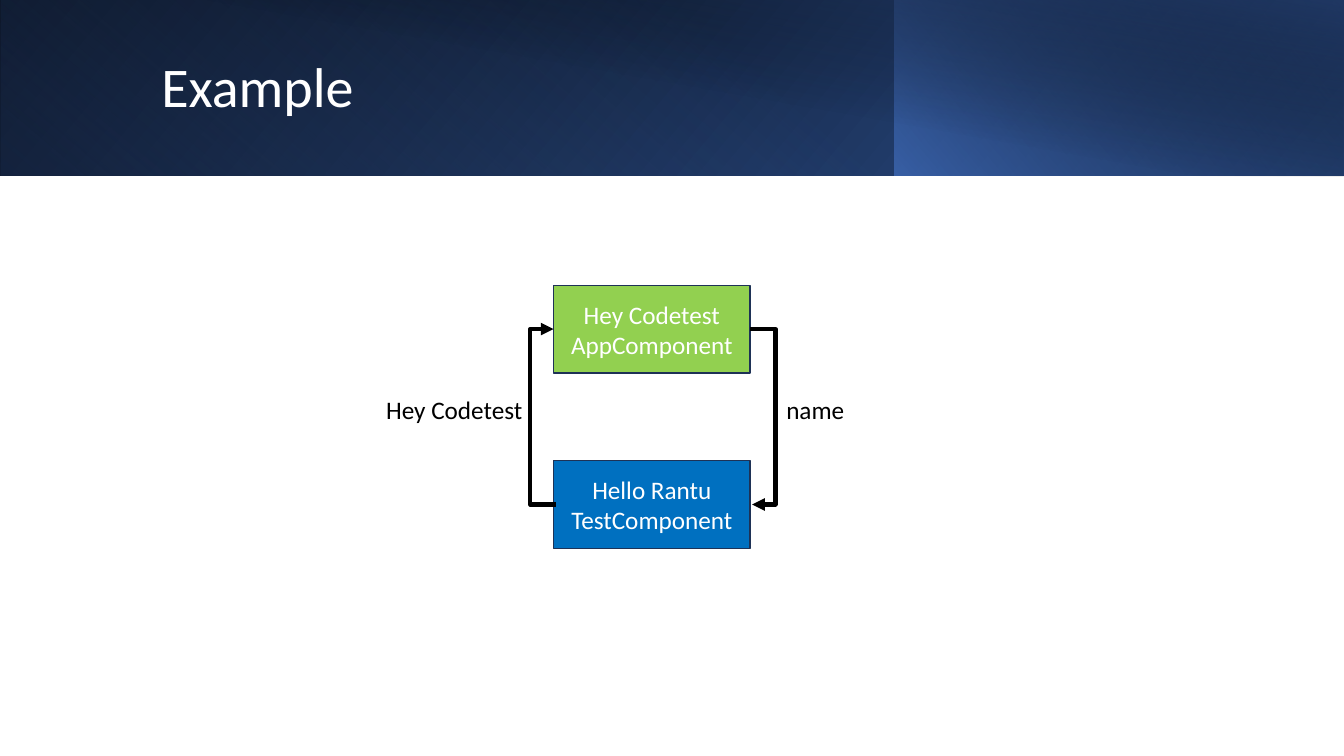
from dataclasses import dataclass

from lxml.etree import SubElement
from pptx import Presentation
from pptx.dml.color import RGBColor
from pptx.enum.shapes import MSO_CONNECTOR, MSO_SHAPE
from pptx.enum.text import MSO_ANCHOR, MSO_AUTO_SIZE, PP_ALIGN
from pptx.oxml.ns import qn
from pptx.slide import Slide
from pptx.text.text import TextFrame
from pptx.util import Inches, Pt

FONT = "Calibri"
WHITE, BLACK = "FFFFFF", "000000"
BOX_LEFT, BOX_WIDTH, BOX_HEIGHT = 5.49, 1.95, 0.87
ARROW_SHIFT, ARROW_REACH = 0.02, 0.25


@dataclass
class Stop:
    position: float
    color: str
    opacity: int = 100


@dataclass
class Band:
    left: float
    width: float
    height: float
    angle: int
    stops: tuple[Stop, Stop]
    flipped: bool = True
    rotation: int = 0


@dataclass
class Component:
    text: str
    top: float
    color: str

    @property
    def middle(self) -> float:
        return self.top + BOX_HEIGHT / 2


@dataclass
class Label:
    text: str
    left: float
    width: float
    align: PP_ALIGN


BANDS = [
    Band(0, 13.33, 1.74, 140, (Stop(0, BLACK), Stop(1, "2F5597"))),
    Band(0, 8.88, 1.74, 230, (Stop(0.2, "4472C4", 0), Stop(1, "203864", 55)), rotation=180),
    Band(8.87, 4.46, 1.74, 220, (Stop(0, "4472C4", 66), Stop(1, BLACK, 30))),
    Band(0.5, 12.83, 1.75, 280, (Stop(0.5, BLACK, 0), Stop(0.99, "203864", 52)), flipped=False),
]
APP = Component("Hey Codetest AppComponent", 2.83, "92D050")
TEST = Component("Hello Rantu TestComponent", 4.57, "0070C0")
LABELS = [
    Label("Hey Codetest", 3.43, 1.85, PP_ALIGN.RIGHT),
    Label("name", 7.7, 1.35, PP_ALIGN.LEFT),
]


def rgb(color: str) -> RGBColor:
    return RGBColor.from_string(color)


def write(frame: TextFrame, text: str, size: int, color: str, align: PP_ALIGN) -> None:
    frame.word_wrap = True
    frame.text = text
    paragraph = frame.paragraphs[0]
    paragraph.alignment = align
    paragraph.font.name = FONT
    paragraph.font.size = Pt(size)
    paragraph.font.color.rgb = rgb(color)


def draw_band(slide: Slide, band: Band) -> None:
    shape = slide.shapes.add_shape(
        MSO_SHAPE.RECTANGLE, Inches(band.left), 0, Inches(band.width), Inches(band.height)
    )
    shape.shadow.inherit = False
    shape.line.fill.background()
    shape.rotation = band.rotation
    properties = shape._element.spPr
    if band.flipped:
        properties.find(qn("a:xfrm")).set("flipH", "1")
    shape.fill.gradient()
    shape.fill.gradient_angle = 360 - band.angle
    for gradient_stop, stop in zip(shape.fill.gradient_stops, band.stops):
        gradient_stop.position = stop.position
        gradient_stop.color.rgb = rgb(stop.color)
    for color, stop in zip(properties.iter(qn("a:srgbClr")), band.stops):
        if stop.opacity < 100:
            SubElement(color, qn("a:alpha")).set("val", str(stop.opacity * 1000))


def draw_component(slide: Slide, component: Component) -> None:
    shape = slide.shapes.add_shape(
        MSO_SHAPE.RECTANGLE,
        Inches(BOX_LEFT), Inches(component.top), Inches(BOX_WIDTH), Inches(BOX_HEIGHT),
    )
    shape.shadow.inherit = False
    shape.fill.solid()
    shape.fill.fore_color.rgb = rgb(component.color)
    shape.line.color.rgb = rgb("1E3256")
    shape.line.width = Pt(1)
    shape.text_frame.vertical_anchor = MSO_ANCHOR.MIDDLE
    write(shape.text_frame, component.text, 18, WHITE, PP_ALIGN.CENTER)


def draw_arrow(slide: Slide, begin: tuple[float, float], end: tuple[float, float]) -> None:
    connector = slide.shapes.add_connector(
        MSO_CONNECTOR.ELBOW, *(Inches(length) for length in begin + end)
    )
    connector.line.color.rgb = rgb(BLACK)
    connector.line.width = Pt(3)
    properties = connector._element.spPr
    SubElement(properties.find(qn("a:ln")), qn("a:tailEnd")).set("type", "triangle")
    SubElement(properties, qn("a:effectLst"))
    # The elbow lies outside the narrow span between the two ends
    guide = SubElement(properties.find(qn("a:prstGeom")).find(qn("a:avLst")), qn("a:gd"))
    guide.set("name", "adj1")
    guide.set("fmla", f"val {round(ARROW_REACH / ARROW_SHIFT * 100000)}")


def draw_label(slide: Slide, label: Label) -> None:
    box = slide.shapes.add_textbox(
        Inches(label.left), Inches(3.86), Inches(label.width), Inches(0.4)
    )
    box.text_frame.auto_size = MSO_AUTO_SIZE.SHAPE_TO_FIT_TEXT
    write(box.text_frame, label.text, 18, BLACK, label.align)


def main() -> None:
    presentation = Presentation()
    presentation.slide_width, presentation.slide_height = Inches(13.33), Inches(7.5)
    slide = presentation.slides.add_slide(presentation.slide_layouts[5])

    # Header
    for band in BANDS:
        draw_band(slide, band)
    title = slide.shapes.title
    title.left, title.top = Inches(1.5), Inches(0.32)
    title.width, title.height = Inches(10.82), Inches(1.13)
    title.text_frame.vertical_anchor = MSO_ANCHOR.MIDDLE
    title.text_frame.auto_size = MSO_AUTO_SIZE.NONE
    write(title.text_frame, "Example", 40, WHITE, PP_ALIGN.LEFT)
    title.text_frame.paragraphs[0].line_spacing = 0.9
    slide.shapes._spTree.append(title._element)  # in front of the bands

    # Components
    for component in (APP, TEST):
        draw_component(slide, component)

    # Data flow
    right = BOX_LEFT + BOX_WIDTH
    draw_arrow(slide, (BOX_LEFT + ARROW_SHIFT, TEST.middle), (BOX_LEFT, APP.middle))
    draw_arrow(slide, (right, APP.middle), (right + ARROW_SHIFT, TEST.middle))
    for label in LABELS:
        draw_label(slide, label)

    presentation.save("out.pptx")


if __name__ == "__main__":
    main()
